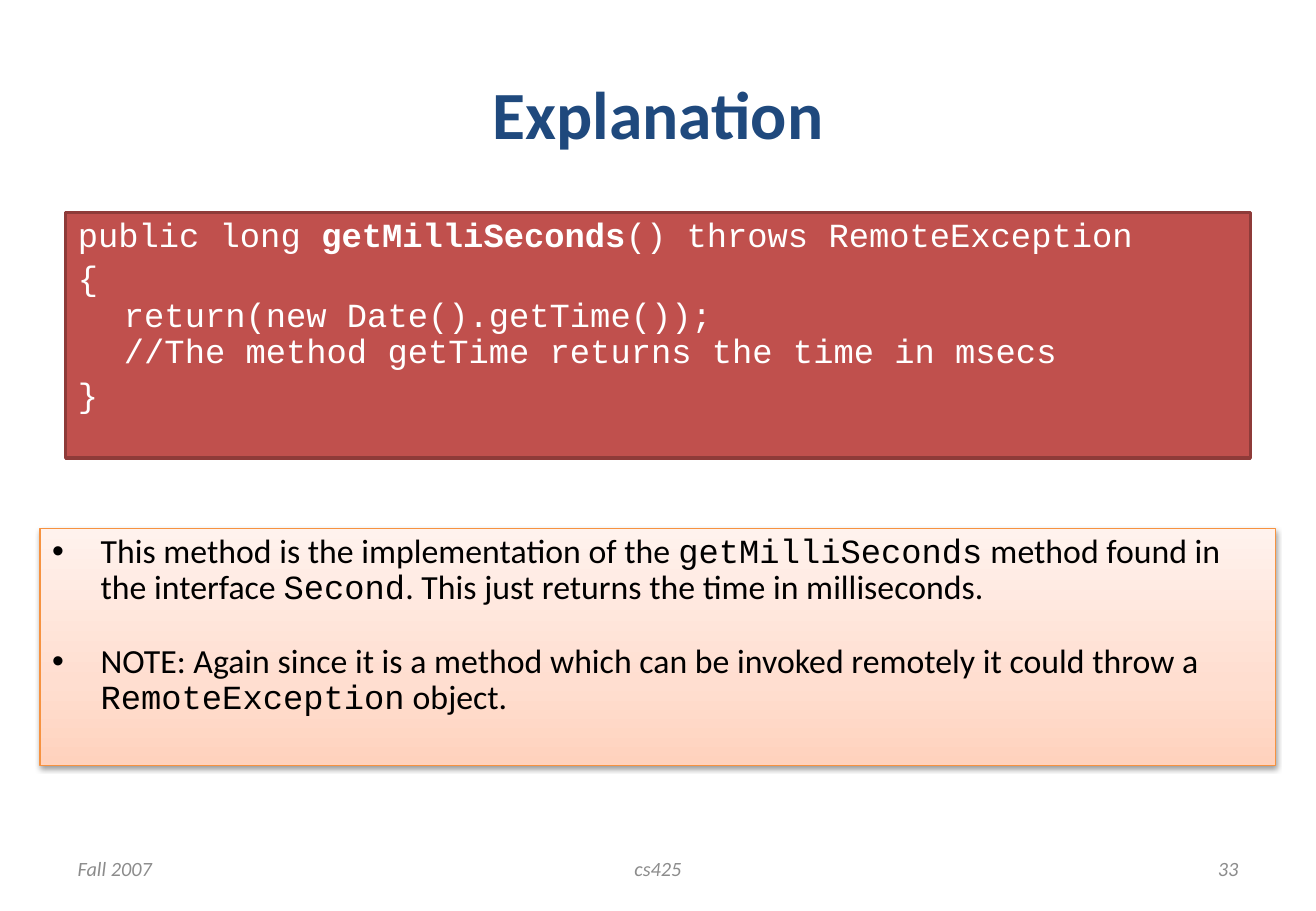
from lxml import etree
from pptx import Presentation
from pptx import oxml
from pptx.dml.color import RGBColor
from pptx.enum import shapes, text
from pptx.oxml import ns
from pptx.util import Inches, Pt

# Content: a paragraph is a list of (text, format) runs; "\n" is a line break
SANS, MONO = "Calibri", "Courier New"
CODE = {"font": MONO}
TITLE = "Explanation"
METHOD = [
    [("public long ", {}), ("getMilliSeconds", {"bold": True}),
     ("() throws RemoteException", {})],
    [("{\nreturn(new Date().getTime());\n"
      "//The method getTime returns the time in msecs", {})],
    [("}", {})],
]
NOTES = [
    [("This method is the implementation of the ", {}), ("getMilliSeconds", CODE),
     (" method found in the interface ", {}), ("Second", CODE),
     (". This just returns the time in milliseconds.", {})],
    [("NOTE: Again since it is a method which can be invoked remotely it could throw a ", {}),
     ("RemoteException", CODE), (" object.", {})],
]
LEFT, CENTER, RIGHT = text.PP_ALIGN.LEFT, text.PP_ALIGN.CENTER, text.PP_ALIGN.RIGHT
FOOTERS = [("Fall 2007", 0.54, 2.53, LEFT), ("cs425", 3.7, 3.43, CENTER),
           ("33", 7.76, 2.53, RIGHT)]

NAVY = RGBColor(0x1F, 0x49, 0x7D)
GRAY = RGBColor(0x8C, 0x8C, 0x8C)
WHITE = RGBColor(0xFF, 0xFF, 0xFF)
BLACK = RGBColor(0, 0, 0)
RED = RGBColor(0xC0, 0x50, 0x4D)
DARK_RED = RGBColor(0x8E, 0x3B, 0x39)
ORANGE = RGBColor(0xF6, 0x92, 0x40)
PEACH_STOPS = [(0, RGBColor(0xFF, 0xD2, 0xBD)), (35, RGBColor(0xFF, 0xDE, 0xD0)),
               (100, RGBColor(0xFF, 0xF2, 0xED))]


def place(s, left, top, width, height):
    s.left, s.top, s.width, s.height = map(Inches, (left, top, width, height))


def add_run(p, words, font=SANS, size=20, color=BLACK, bold=False, italic=False):
    for i, line in enumerate(words.split("\n")):
        if i:
            p.add_line_break()
        r = p.add_run()
        r.text = line
        r.font.name, r.font.size = font, Pt(size)
        r.font.bold, r.font.italic = bold, italic
        r.font.color.rgb = color


def write(s, paragraphs, align=LEFT, anchor=text.MSO_ANCHOR.TOP, hang=0,
          bullet=None, spacing=None, gap=0, **style):
    tf = s.text_frame
    tf.word_wrap = True
    tf.auto_size = text.MSO_AUTO_SIZE.NONE
    tf.vertical_anchor = anchor
    for i, runs in enumerate(paragraphs):
        p = tf.add_paragraph() if i else tf.paragraphs[0]
        pPr = p._p.get_or_add_pPr()
        pPr.set("marL", str(Inches(hang)))
        pPr.set("indent", str(-Inches(hang)))
        if bullet:
            etree.SubElement(pPr, ns.qn("a:buFont")).set("typeface", "Arial")
            etree.SubElement(pPr, ns.qn("a:buChar")).set("char", bullet)
        else:
            etree.SubElement(pPr, ns.qn("a:buNone"))
        p.alignment, p.line_spacing = align, spacing
        p.space_before = Pt(gap if i else 0)
        for words, extra in runs:
            add_run(p, words, **{**style, **extra})


def add_gradient_and_shadow(s):
    stops = "".join(f'<a:gs pos="{pos * 1000}"><a:srgbClr val="{color}"/></a:gs>'
                    for pos, color in PEACH_STOPS)
    fill = oxml.parse_xml(f'<a:gradFill {ns.nsdecls("a")}><a:gsLst>{stops}</a:gsLst>'
                          '<a:lin ang="16200000" scaled="0"/></a:gradFill>')
    shadow = oxml.parse_xml(
        f'<a:effectLst {ns.nsdecls("a")}><a:outerShdw blurRad="{Pt(3.1)}" '
        f'dist="{Pt(1.6)}" dir="5400000" rotWithShape="0"><a:srgbClr val="000000">'
        '<a:alpha val="38000"/></a:srgbClr></a:outerShdw></a:effectLst>')
    spPr = s._element.spPr
    spPr.find(ns.qn("a:ln")).addprevious(fill)
    spPr.append(shadow)


def main():
    prs = Presentation()
    prs.slide_width, prs.slide_height = Inches(10.83), Inches(7.5)
    slide = prs.slides.add_slide(prs.slide_layouts[1])
    middle = text.MSO_ANCHOR.MIDDLE

    # Title
    title = slide.shapes.title
    place(title, 0.54, 0.3, 9.75, 1.25)
    write(title, [[(TITLE, {})]], align=CENTER, anchor=middle,
          size=40, color=NAVY, bold=True)

    # Code box
    code = slide.placeholders[1]
    place(code, 0.54, 1.75, 9.75, 2.02)
    code.fill.solid()
    code.fill.fore_color.rgb = RED
    code.line.color.rgb, code.line.width = DARK_RED, Pt(2)
    write(code, METHOD, hang=0.38, spacing=0.9, gap=4, font=MONO, color=WHITE)

    # Notes box
    box = [Inches(v) for v in (0.33, 4.35, 10.17, 1.95)]
    notes = slide.shapes.add_shape(shapes.MSO_SHAPE.RECTANGLE, *box)
    notes.line.color.rgb, notes.line.width = ORANGE, Pt(0.75)
    add_gradient_and_shadow(notes)
    write(notes, NOTES, hang=0.4, bullet="•", spacing=0.9, gap=22)

    # Footer row
    for words, left, width, align in FOOTERS:
        footer = slide.shapes.add_textbox(*map(Inches, (left, 6.95, width, 0.4)))
        write(footer, [[(words, {})]], align=align, anchor=middle,
              size=12, color=GRAY, italic=True)

    prs.save("out.pptx")


if __name__ == "__main__":
    main()
